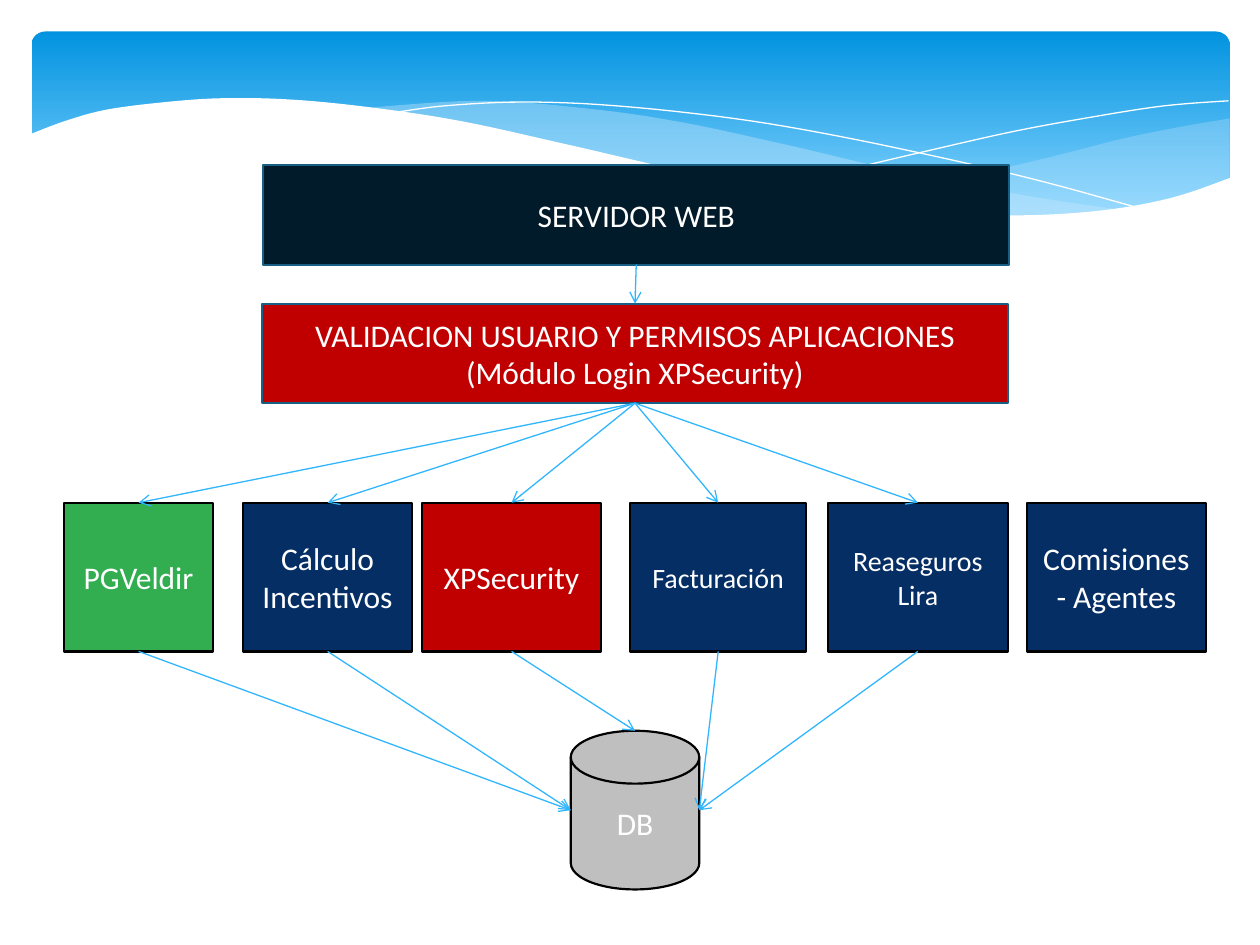
from collections import namedtuple

from lxml.etree import SubElement
from pptx import Presentation
from pptx.dml.color import RGBColor
from pptx.enum.shapes import MSO_CONNECTOR, MSO_SHAPE as SHAPE
from pptx.enum.text import MSO_ANCHOR, PP_ALIGN
from pptx.oxml.ns import qn
from pptx.util import Inches, Pt

WHITE = RGBColor(0xFF, 0xFF, 0xFF)
BLACK = RGBColor(0, 0, 0)
SKY_TOP = RGBColor(0x02, 0x93, 0xE0)
SKY_BOTTOM = RGBColor(0x83, 0xD3, 0xFE)
WAVE = RGBColor(0xC6, 0xE7, 0xFC)
ARROW = RGBColor(0x31, 0xB6, 0xFD)
EDGE = RGBColor(0x19, 0x5F, 0x84)
INK = RGBColor(0x02, 0x1B, 0x2B)
NAVY = RGBColor(0x05, 0x2E, 0x65)
RED = RGBColor(0xC0, 0, 0)
GREEN = RGBColor(0x32, 0xAE, 0x51)
GREY = RGBColor(0xBF, 0xBF, 0xBF)

# The grid has 10 columns and 7.5 rows, each one inch
COLUMNS, ROWS = 10, 7.5
TOP, BOTTOM = 0, 2
Box = namedtuple("Box", "left top width height")

# Application boxes: name, left, width, text size, fill
APPS = [
    ("PGVeldir", 0.51, 1.18, 18, GREEN),
    ("Cálculo Incentivos", 1.93, 1.34, 18, NAVY),
    ("XPSecurity", 3.35, 1.42, 18, RED),
    ("Facturación", 5, 1.4, 16, NAVY),
    ("Reaseguros Lira", 6.57, 1.43, 16, NAVY),
    ("Comisiones - Agentes", 8.15, 1.42, 18, NAVY),
]

# Crests of the banner, in grid units from its corner
RIGHT_WAVE_TOP = [(9.76, 0.94), (9.35, 1.01), (8.91, 1.1), (8.32, 1.25),
                  (7.53, 1.43), (6.61, 1.6)]
RIGHT_WAVE_BASE = [(6.61, 1.6), (7.05, 1.65), (7.57, 1.7), (8.14, 1.72),
                   (8.72, 1.69), (9.28, 1.58), (9.76, 1.41)]
MIDDLE_WAVE_TOP = [(8.93, 1.67), (8.07, 1.54), (7.06, 1.34), (6.29, 1.16),
                   (5.41, 0.97), (4.65, 0.86), (3.8, 0.8), (2.86, 0.86)]
MIDDLE_WAVE_BASE = [(2.86, 0.86), (3.62, 0.97), (4.49, 1.16), (5.3, 1.35),
                    (6.18, 1.53), (6.95, 1.65), (7.73, 1.72), (8.28, 1.73),
                    (8.93, 1.67)]
FALLING_LINE = [(3.09, 0.9), (3.53, 0.84), (4.16, 0.81), (4.89, 0.84),
                (5.82, 0.94), (6.65, 1.08), (7.6, 1.28), (8.31, 1.45),
                (9.07, 1.66)]
RISING_LINE = [(6.13, 1.51), (6.72, 1.35), (7.48, 1.17), (8.06, 1.04),
               (8.66, 0.93), (9.24, 0.84), (9.75, 0.8)]
WHITE_WAVE = [(9.77, 1.41), (9.3, 1.57), (8.75, 1.67), (8.09, 1.71),
              (7.44, 1.68), (6.68, 1.6), (6.03, 1.49), (5.29, 1.33),
              (4.47, 1.14), (3.65, 0.96), (2.92, 0.85), (2.3, 0.79),
              (1.77, 0.78), (1.32, 0.81), (0.85, 0.87), (0.52, 0.96),
              (0.23, 1.07)]


def smooth(points, steps=6):
    """Sample a Catmull-Rom curve through the points."""
    padded = [points[0], *points, points[-1]]
    curve = [points[0]]
    for a, b, c, d in zip(padded, padded[1:], padded[2:], padded[3:]):
        for step in range(1, steps + 1):
            t = step / steps
            curve.append(tuple(
                0.5 * (2 * q + (r - p) * t + (2 * p - 5 * q + 4 * r - s) * t ** 2
                       + (3 * q - p - 3 * r + s) * t ** 3)
                for p, q, r, s in zip(a, b, c, d)))
    return curve


def add_outline(page, box, points, fill=None, alpha=None, line=None):
    spots = [(Inches(box.left + x), Inches(box.top + y)) for x, y in points]
    builder = page.shapes.build_freeform(*spots[0], scale=1.0)
    builder.add_line_segments(spots[1:], close=fill is not None)
    shape = builder.convert_to_shape()
    shape.shadow.inherit = False
    if fill is None:
        shape.fill.background()
    else:
        shape.fill.solid()
        shape.fill.fore_color.rgb = fill
    if alpha is not None:
        colour = shape.fill._xPr.find(qn("a:solidFill"))[0]
        SubElement(colour, qn("a:alpha")).set("val", str(alpha * 1000))
    if line is None:
        shape.line.fill.background()
    else:
        shape.line.color.rgb = line
        shape.line.width = Pt(0)


def add_banner(page, box):
    # Blue panel fading downwards
    panel = page.shapes.add_shape(
        SHAPE.ROUNDED_RECTANGLE, Inches(box.left + 0.25), Inches(box.top + 0.25),
        Inches(box.width - 0.49), Inches(1.56))
    panel.adjustments[0] = 0.07
    panel.shadow.inherit = False
    panel.line.fill.background()
    panel.fill.gradient()
    panel.fill.gradient_angle = 270
    stops = panel.fill.gradient_stops
    for stop, place, colour in zip(stops, (0, 0.9), (SKY_TOP, SKY_BOTTOM)):
        stop.position = place
        stop.color.rgb = colour

    # Waves and thin lines over it
    add_outline(page, box, smooth(RIGHT_WAVE_TOP) + smooth(RIGHT_WAVE_BASE),
                fill=WAVE, alpha=29)
    add_outline(page, box, smooth(MIDDLE_WAVE_TOP) + smooth(MIDDLE_WAVE_BASE),
                fill=WAVE, alpha=40)
    for points in (FALLING_LINE, RISING_LINE):
        add_outline(page, box, smooth(points), line=WHITE)
    floor = [(0.23, box.height), (9.77, box.height)]
    add_outline(page, box, smooth(WHITE_WAVE) + floor, fill=WHITE)


def write_text(shape, text, size=18, colour=WHITE, font="Calibri"):
    frame = shape.text_frame
    frame.word_wrap = True
    frame.vertical_anchor = MSO_ANCHOR.MIDDLE
    para = frame.paragraphs[0]
    para.alignment = PP_ALIGN.CENTER
    span = para.add_run()
    span.text = text
    span.font.size = Pt(size)
    span.font.name = font
    span.font.color.rgb = colour


def add_node(page, box, text, fill, line=BLACK, size=18,
             kind=SHAPE.FLOWCHART_PROCESS):
    node = page.shapes.add_shape(kind, *(Inches(length) for length in box))
    node.shadow.inherit = False
    node.fill.solid()
    node.fill.fore_color.rgb = fill
    node.line.color.rgb = line
    node.line.width = Pt(1.25)
    write_text(node, text, size=size)
    return node


def add_arrow(page, start, end=None, spot=(0, 0)):
    """Join the bottom of start to the top of end, or to a free spot."""
    arrow = page.shapes.add_connector(MSO_CONNECTOR.STRAIGHT, 0, 0, *spot)
    arrow.begin_connect(start, BOTTOM)
    if end is not None:
        arrow.end_connect(end, TOP)
    arrow.line.color.rgb = ARROW
    arrow.line.width = Pt(0.75)
    SubElement(arrow.line._get_or_add_ln(), qn("a:tailEnd")).set("type", "arrow")
    SubElement(arrow._element.spPr, qn("a:effectLst"))


def add_diagram(page, box):
    def place(left, top, width, height):
        return Box(box.left + left, box.top + top, width, height)

    # Server, login, applications and database
    server = add_node(page, place(2.09, 0, 5.92, 0.79), "SERVIDOR WEB", INK, EDGE)
    login = add_node(
        page, place(2.08, 1.1, 5.92, 0.79),
        "VALIDACION USUARIO Y PERMISOS APLICACIONES (Módulo Login XPSecurity)",
        RED, EDGE)
    apps = [add_node(page, place(left, 2.68, width, 1.18), name, fill, size=size)
            for name, left, width, size, fill in APPS]
    disk = add_node(page, place(4.53, 4.49, 1.02, 1.26), "DB", GREY,
                    kind=SHAPE.FLOWCHART_MAGNETIC_DISK)

    # Arrows down to the applications and on to the database
    middle = disk.top + disk.height // 2
    left_side = (disk.left, middle)
    right_side = (disk.left + disk.width, middle)
    top_side = (disk.left + disk.width // 2, disk.top)
    spots = [left_side, left_side, top_side, right_side, right_side]
    add_arrow(page, server, login)
    for app, spot in zip(apps, spots):
        add_arrow(page, login, app)
        add_arrow(page, app, spot=spot)


def main():
    deck = Presentation()
    deck.slide_width, deck.slide_height = Inches(COLUMNS), Inches(ROWS)
    page = deck.slides.add_slide(deck.slide_layouts[6])
    add_banner(page, Box(0, 0, COLUMNS, 2.24))
    add_diagram(page, Box(0, 1.31, COLUMNS, 5.75))
    deck.save("out.pptx")


if __name__ == "__main__":
    main()
